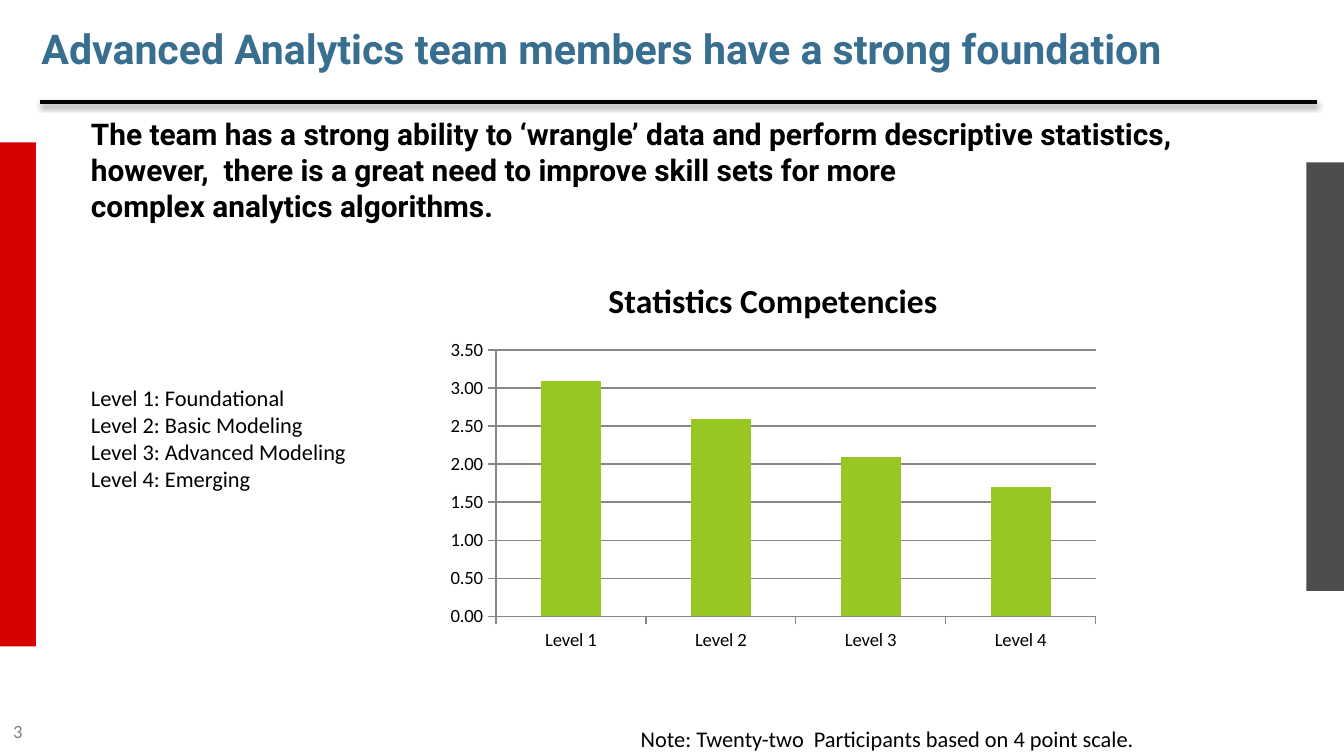
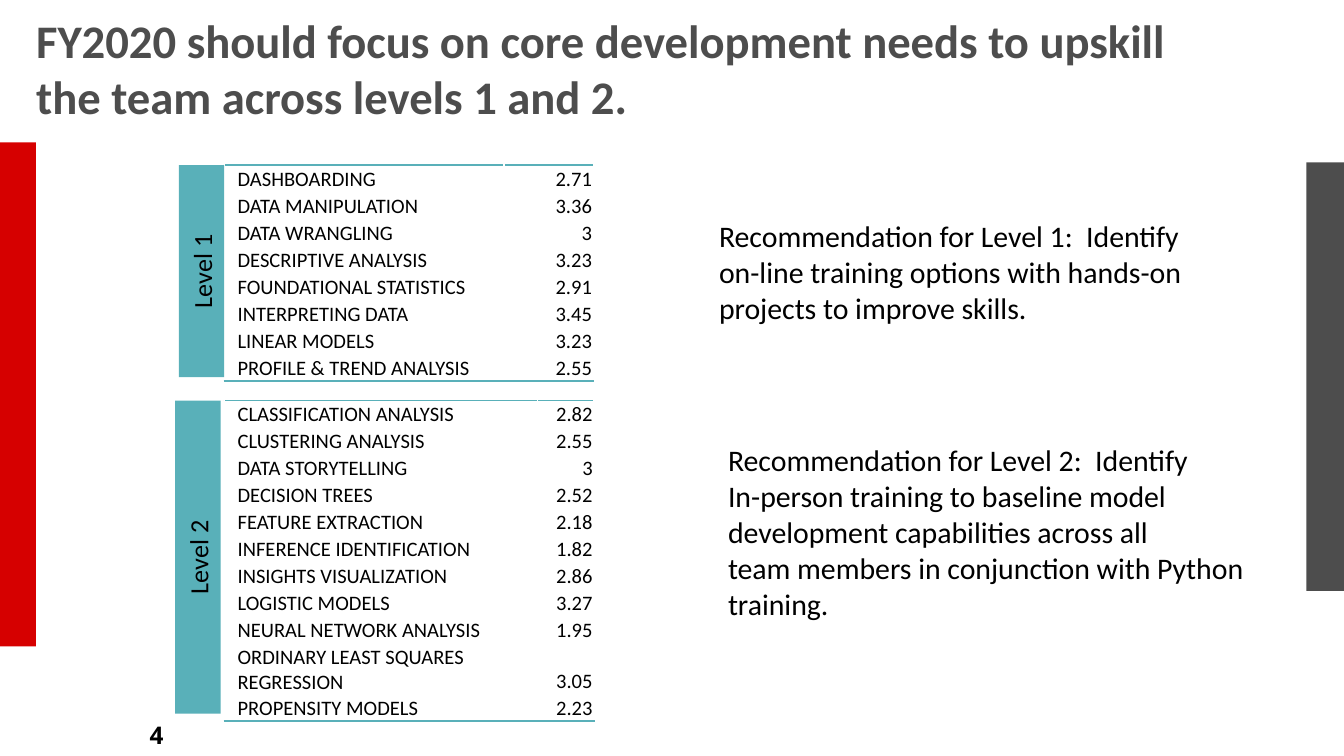
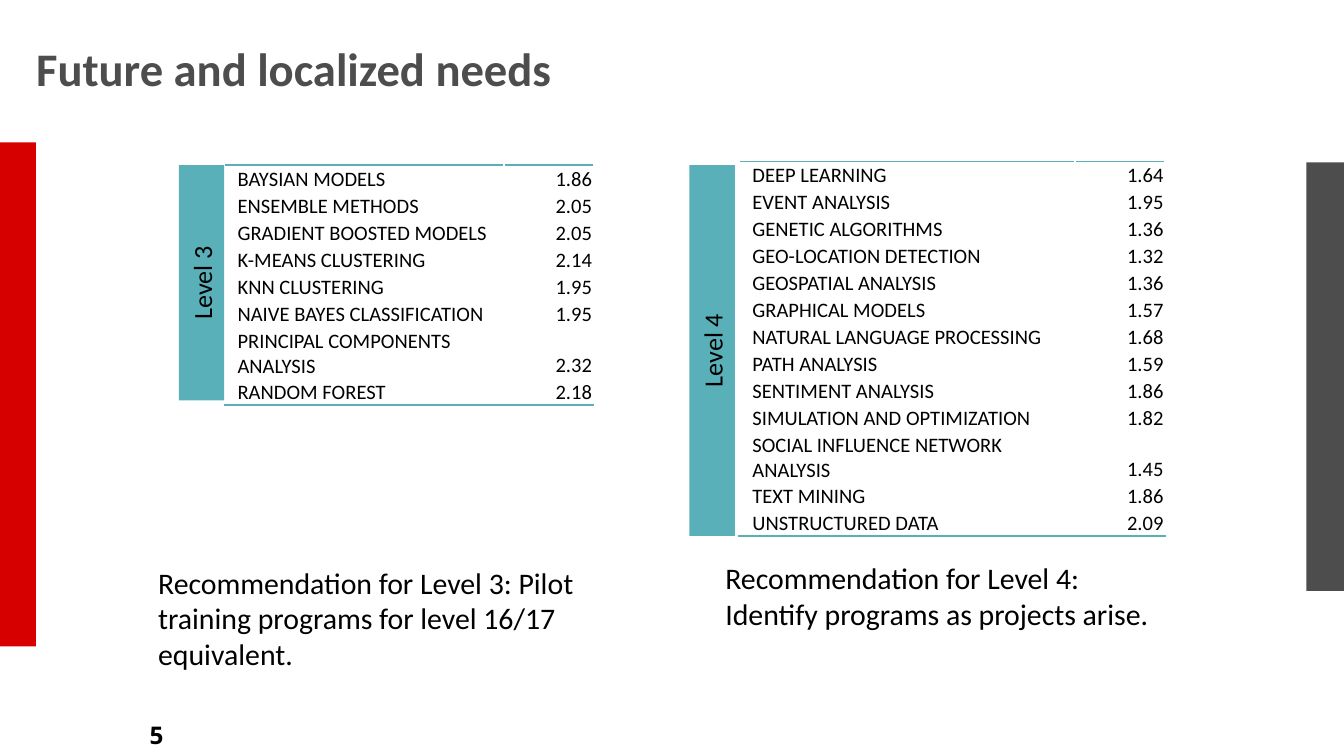
from pptx import Presentation
from pptx.chart.data import CategoryChartData
from pptx.dml.color import RGBColor
from pptx.enum.chart import XL_CHART_TYPE, XL_TICK_MARK
from pptx.enum.shapes import MSO_CONNECTOR, MSO_SHAPE
from pptx.enum.text import MSO_ANCHOR, MSO_AUTO_SIZE, PP_ALIGN
from pptx.oxml import parse_xml
from pptx.oxml.ns import nsdecls
from pptx.util import Cm, Pt

RED, GRAY, TEAL, GREEN = "D60000", "4D4D4D", "59B0B9", "98C723"
BLUE, BLACK, MUTED, GRID = "386E8F", "000000", "808080", "878787"
ROW = 0.51
TAB = 0.86


def color(code):
    return RGBColor.from_string(code)


def place(box):
    return [Cm(part) for part in box]


def style(font, size, code=BLACK, name="Calibri", bold=False):
    font.size = Pt(size)
    font.name = name
    font.bold = bold
    font.color.rgb = color(code)


def write(frame, text, size, code=BLACK, name="Calibri", bold=False,
          align=PP_ALIGN.LEFT):
    frame.text = text
    for para in frame.paragraphs:
        para.alignment = align
        for run in para.runs:
            style(run.font, size, code, name, bold)


def block(slide, box, code):
    shape = slide.shapes.add_shape(MSO_SHAPE.RECTANGLE, *place(box))
    shape.shadow.inherit = False
    shape.fill.solid()
    shape.fill.fore_color.rgb = color(code)
    shape.line.fill.background()
    return shape


def bands(deck, slide):
    tree = deck.slide_master.shapes.element
    for box, code in (((-0.03, 2.69, 0.71, 9.53), RED),
                      ((24.69, 3.07, 0.71, 8.1), GRAY)):
        tree.append(block(slide, box, code).element)


def head(slide, text, box, size, code, name="Calibri"):
    title = slide.shapes.title
    title.left, title.top, title.width, title.height = place(box)
    frame = title.text_frame
    frame.auto_size = MSO_AUTO_SIZE.NONE
    frame.vertical_anchor = MSO_ANCHOR.MIDDLE
    write(frame, text, size, code, name, True)


def note(slide, text, box, size, wrap=False, **look):
    frame = slide.shapes.add_textbox(*place(box)).text_frame
    frame.word_wrap = wrap
    frame.auto_size = MSO_AUTO_SIZE.SHAPE_TO_FIT_TEXT
    write(frame, text, size, **look)


def count(slide, text, size, **look):
    frame = slide.shapes.add_textbox(*place((0, 13.49, 5.92, 0.79))).text_frame
    frame.word_wrap = True
    write(frame, text, size, **look)
    return frame.paragraphs[0]


def rule(slide, x, y, width):
    line = slide.shapes.add_connector(
        MSO_CONNECTOR.STRAIGHT, Cm(x), Cm(y), Cm(x + width), Cm(y))
    line.line.color.rgb = color(BLACK)
    line.line.width = Pt(2)
    line.element.spPr.append(parse_xml(
        f'<a:effectLst {nsdecls("a")}><a:outerShdw blurRad="{Pt(3.1)}" '
        f'dist="{Pt(1.6)}" dir="5400000" rotWithShape="0">'
        f'<a:srgbClr val="{BLACK}"><a:alpha val="38000"/></a:srgbClr>'
        '</a:outerShdw></a:effectLst>'))


def graph(slide, box):
    data = CategoryChartData()
    data.categories = [f"Level {step}" for step in range(1, 5)]
    data.add_series("Series 1", (3.1, 2.6, 2.1, 1.7))
    chart = slide.shapes.add_chart(
        XL_CHART_TYPE.COLUMN_CLUSTERED, *place(box), data).chart
    style(chart.font, 10)
    chart.has_legend = False
    chart.has_title = True
    write(chart.chart_title.text_frame, "Statistics Competencies", 18,
          bold=True, align=PP_ALIGN.CENTER)
    plot = chart.plots[0]
    plot.gap_width = 150
    plot.vary_by_categories = False
    fill = plot.series[0].format.fill
    fill.solid()
    fill.fore_color.rgb = color(GREEN)
    axis = chart.value_axis
    axis.minimum_scale, axis.maximum_scale, axis.major_unit = 0, 3.5, 0.5
    axis.tick_labels.number_format = "0.00"
    axis.tick_labels.number_format_is_linked = False
    axis.has_major_gridlines = True
    for each in (axis, chart.category_axis):
        each.major_tick_mark = XL_TICK_MARK.OUTSIDE
    for part in (axis, chart.category_axis, axis.major_gridlines):
        part.format.line.color.rgb = color(GRID)
        part.format.line.width = Pt(0.75)


def edge(cell, side):
    cell._tc.get_or_add_tcPr().insert(0, parse_xml(
        f'<a:{side} {nsdecls("a")} w="{Pt(1)}"><a:solidFill>'
        f'<a:srgbClr val="{TEAL}"/></a:solidFill></a:{side}>'))


def scores(slide, x, y, cols, rows):
    table = slide.shapes.add_table(
        len(rows), 2, *place((x, y, sum(cols), ROW * len(rows)))).table
    table.first_row = table.horz_banding = False
    for col, width in zip(table.columns, cols):
        col.width = Cm(width)
    for row, pair in zip(table.rows, rows):
        row.height = Cm(ROW)
        for i, cell in enumerate(row.cells):
            cell.fill.background()
            cell.vertical_anchor = MSO_ANCHOR.BOTTOM
            cell.margin_left = Cm(0.03 if i else 0.25)
            cell.margin_right = cell.margin_top = Cm(0.03)
            cell.margin_bottom = 0
            write(cell.text_frame, pair[i], 11,
                  align=PP_ALIGN.RIGHT if i else PP_ALIGN.LEFT)
    for i in range(2):
        edge(table.cell(0, i), "lnT")
        edge(table.cell(len(rows) - 1, i), "lnB")


def tab(slide, text, x, y, height):
    shift = (height - TAB) / 2
    shape = block(slide, (x - shift, y + shift, height, TAB), TEAL)
    shape.rotation = 270
    frame = shape.text_frame
    frame.vertical_anchor = MSO_ANCHOR.MIDDLE
    write(frame, text, 14, align=PP_ALIGN.CENTER)


def skills(deck, title, number):
    slide = deck.slides.add_slide(deck.slide_layouts[5])
    head(slide, title, (0.43, 0.64, 23.06, 1.27), 25, GRAY)
    para = count(slide, number, 13, name="Noto Sans", bold=True,
                 align=PP_ALIGN.CENTER)
    para.space_before = Pt(5.4)
    return slide


def strength(deck):
    slide = deck.slides.add_slide(deck.slide_layouts[5])
    bands(deck, slide)
    head(slide, "Advanced Analytics team members have a strong foundation",
         (0.53, 0, 24.87, 1.83), 22, BLUE, "Roboto")
    count(slide, "3", 10, code=MUTED)
    rule(slide, 0.76, 1.93, 24.13)
    note(slide, "The team has a strong ability to ‘wrangle’ data and perform "
         "descriptive statistics, however,  there is a great need to improve "
         "skill sets for more \vcomplex analytics algorithms. ",
         (1.47, 2.06, 22.02, 2.31), 16, True, name="Roboto", bold=True)
    graph(slide, (8.26, 4.83, 12.7, 7.62))
    note(slide, "Level 1: Foundational\vLevel 2: Basic Modeling \v"
         "Level 3: Advanced Modeling\vLevel 4: Emerging",
         (1.47, 7.14, 5.38, 2.31), 12)
    note(slide, "Note: Twenty-two  Participants based on 4 point scale. ",
         (11.86, 13.59, 10.06, 0.76), 12)


def focus(deck):
    slide = skills(deck, "FY2020 should focus on core development needs to "
                   "upskill the team across levels 1 and 2.", "4")
    scores(slide, 4.24, 3.12, (5.28, 1.7), BASE)
    scores(slide, 4.24, 7.57, (5.92, 1.07), MODEL)
    tab(slide, "Level 1", 3.38, 3.12, 4.01)
    tab(slide, "Level 2", 3.31, 7.57, 5.92)
    note(slide, "Recommendation for Level 1:  Identify \v"
         "on-line training options with hands-on \v"
         "projects to improve skills.", (13.34, 3.99, 9.47, 2.31), 16)
    note(slide, "Recommendation for Level 2:  Identify \v"
         "In-person training to baseline model\v"
         "development capabilities across all\v"
         "team members in conjunction with Python \vtraining.",
         (13.51, 8.23, 10.52, 3.68), 16)


def future(deck):
    slide = skills(deck, "Future and localized needs", "5")
    scores(slide, 4.24, 3.12, (5.28, 1.7), EXPERT)
    tab(slide, "Level 3", 3.38, 3.12, 4.45)
    note(slide, "Recommendation for Level 3: Pilot\v"
         "training programs for level 16/17\vequivalent.",
         (2.74, 10.54, 8.48, 2.31), 16)
    note(slide, "Recommendation for Level 4:  Identify programs as projects "
         "arise. ", (13.46, 10.46, 8.97, 1.63), 16, True)
    scores(slide, 13.97, 3.05, (6.35, 1.7), NOVEL)
    tab(slide, "Level 4", 13.03, 3.12, 7.01)


BASE = [
    ("DASHBOARDING", "2.71"),
    ("DATA MANIPULATION", "3.36"),
    ("DATA WRANGLING", "3"),
    ("DESCRIPTIVE ANALYSIS", "3.23"),
    ("FOUNDATIONAL STATISTICS", "2.91"),
    ("INTERPRETING DATA", "3.45"),
    ("LINEAR MODELS", "3.23"),
    ("PROFILE & TREND ANALYSIS", "2.55"),
]
MODEL = [
    ("CLASSIFICATION ANALYSIS", "2.82"),
    ("CLUSTERING ANALYSIS", "2.55"),
    ("DATA STORYTELLING", "3"),
    ("DECISION TREES", "2.52"),
    ("FEATURE EXTRACTION", "2.18"),
    ("INFERENCE IDENTIFICATION", "1.82"),
    ("INSIGHTS VISUALIZATION", "2.86"),
    ("LOGISTIC MODELS", "3.27"),
    ("NEURAL NETWORK ANALYSIS", "1.95"),
    ("ORDINARY LEAST SQUARES REGRESSION", "3.05"),
    ("PROPENSITY MODELS", "2.23"),
]
EXPERT = [
    ("BAYSIAN MODELS", "1.86"),
    ("ENSEMBLE METHODS", "2.05"),
    ("GRADIENT BOOSTED MODELS", "2.05"),
    ("K-MEANS CLUSTERING", "2.14"),
    ("KNN CLUSTERING", "1.95"),
    ("NAIVE BAYES CLASSIFICATION", "1.95"),
    ("PRINCIPAL COMPONENTS ANALYSIS", "2.32"),
    ("RANDOM FOREST", "2.18"),
]
NOVEL = [
    ("DEEP LEARNING", "1.64"),
    ("EVENT ANALYSIS", "1.95"),
    ("GENETIC ALGORITHMS", "1.36"),
    ("GEO-LOCATION DETECTION", "1.32"),
    ("GEOSPATIAL ANALYSIS", "1.36"),
    ("GRAPHICAL MODELS", "1.57"),
    ("NATURAL LANGUAGE PROCESSING", "1.68"),
    ("PATH ANALYSIS", "1.59"),
    ("SENTIMENT ANALYSIS", "1.86"),
    ("SIMULATION AND OPTIMIZATION", "1.82"),
    ("SOCIAL INFLUENCE NETWORK ANALYSIS", "1.45"),
    ("TEXT MINING", "1.86"),
    ("UNSTRUCTURED DATA", "2.09"),
]

deck = Presentation()
deck.slide_width, deck.slide_height = Cm(25.4), Cm(14.29)
strength(deck)
focus(deck)
future(deck)
deck.save("out.pptx")
